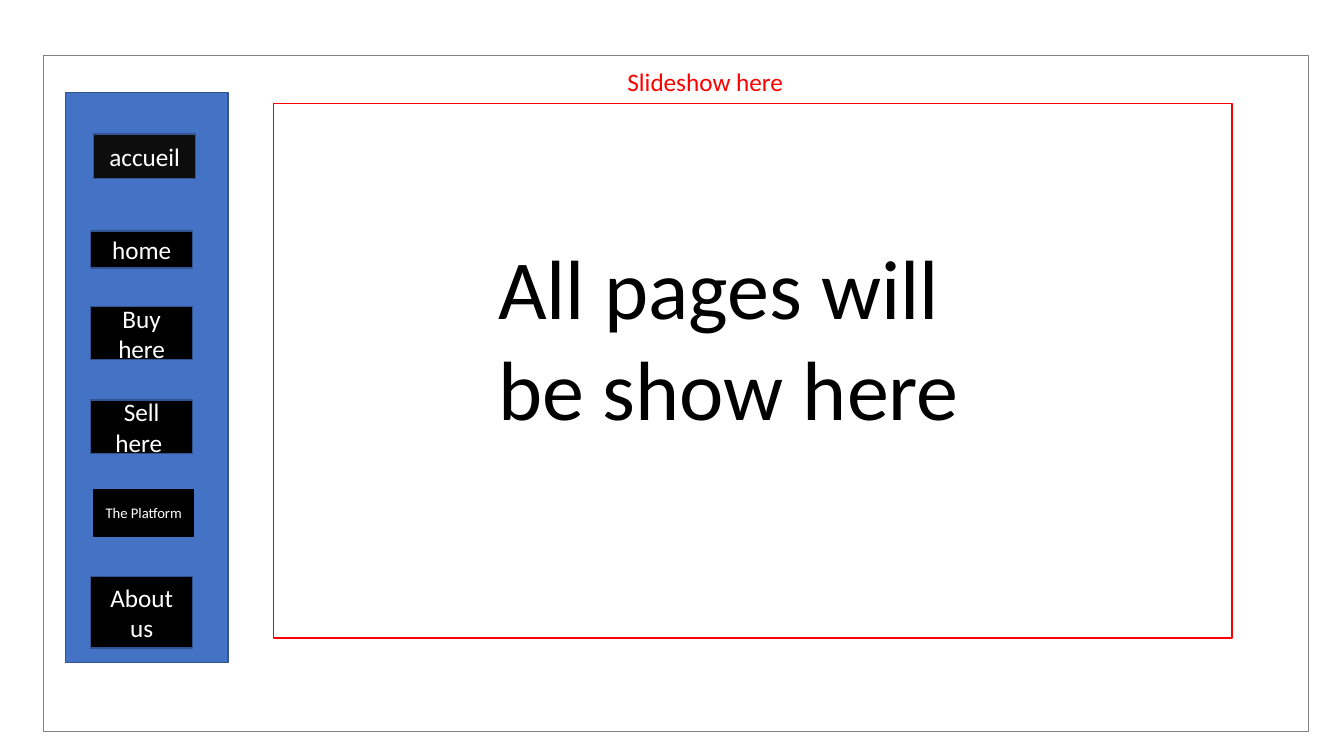
from dataclasses import dataclass

from pptx import Presentation
from pptx.dml.color import RGBColor
from pptx.enum.shapes import MSO_SHAPE
from pptx.enum.text import MSO_ANCHOR, MSO_AUTO_SIZE, PP_ALIGN
from pptx.shapes.autoshape import Shape
from pptx.slide import Slide
from pptx.util import Inches, Pt


@dataclass(frozen=True)
class Theme:
    font: str = "Calibri"
    white: str = "FFFFFF"
    black: str = "000000"
    near_black: str = "0D0D0D"
    red: str = "FF0000"
    gray: str = "808080"
    blue: str = "4472C4"
    dark_blue: str = "325491"
    headline_size: float = 60
    label_size: float = 18
    small_size: float = 10.5
    line_width: float = 1


THEME = Theme()


@dataclass(frozen=True)
class Box:
    left: float
    top: float
    width: float
    height: float
    fill: str
    line: str


@dataclass(frozen=True)
class MenuButton:
    text: str
    top: float
    height: float
    left: float = 0.9
    width: float = 1.01
    fill: str = THEME.black
    line: str = THEME.dark_blue
    size: float = THEME.label_size


PAGE = Box(0.43, 0.55, 12.55, 6.71, THEME.white, THEME.gray)
SIDEBAR = Box(0.65, 0.92, 1.61, 5.65, THEME.blue, THEME.dark_blue)
CONTENT = Box(2.71, 1.03, 9.51, 5.3, THEME.white, THEME.red)

MENU = [
    MenuButton("accueil", 1.33, 0.44, left=0.93, fill=THEME.near_black),
    MenuButton("home", 2.29, 0.37),
    MenuButton("Buy here", 3.04, 0.53),
    MenuButton("Sell here ", 3.97, 0.53),
    MenuButton("The Platform", 4.86, 0.46, left=0.93, width=0.99,
               line=THEME.black, size=THEME.small_size),
    MenuButton("About us", 5.72, 0.71),
]


def place(shape: Shape, left: float, top: float, width: float, height: float) -> None:
    shape.left, shape.top = Inches(left), Inches(top)
    shape.width, shape.height = Inches(width), Inches(height)


def write(shape: Shape, text: str, size: float, color: str,
          alignment: PP_ALIGN, anchor: MSO_ANCHOR) -> None:
    frame = shape.text_frame
    frame.word_wrap = True
    frame.vertical_anchor = anchor
    paragraph = frame.paragraphs[0]
    paragraph.alignment = alignment
    run = paragraph.add_run()
    run.text = text
    run.font.name = THEME.font
    run.font.size = Pt(size)
    run.font.color.rgb = RGBColor.from_string(color)


def add_box(slide: Slide, box: Box | MenuButton) -> Shape:
    shape = slide.shapes.add_shape(
        MSO_SHAPE.RECTANGLE, Inches(box.left), Inches(box.top),
        Inches(box.width), Inches(box.height))
    shape.shadow.inherit = False
    shape.fill.solid()
    shape.fill.fore_color.rgb = RGBColor.from_string(box.fill)
    shape.line.color.rgb = RGBColor.from_string(box.line)
    shape.line.width = Pt(THEME.line_width)
    return shape


def add_button(slide: Slide, button: MenuButton) -> None:
    shape = add_box(slide, button)
    write(shape, button.text, button.size, THEME.white,
          PP_ALIGN.CENTER, MSO_ANCHOR.MIDDLE)


def add_headline(slide: Slide) -> None:
    title = slide.shapes.title
    place(title, 4.84, 2.29, 5.16, 2.12)
    title.text_frame.auto_size = MSO_AUTO_SIZE.SHAPE_TO_FIT_TEXT
    write(title, "All pages will be show here", THEME.headline_size,
          THEME.black, PP_ALIGN.LEFT, MSO_ANCHOR.TOP)
    # Bring the title in front of the content area
    title.element.getparent().append(title.element)


def add_slideshow_label(slide: Slide) -> None:
    label = slide.shapes.add_textbox(
        Inches(4.32), Inches(0.61), Inches(5.35), Inches(0.4))
    label.text_frame.auto_size = MSO_AUTO_SIZE.SHAPE_TO_FIT_TEXT
    write(label, "Slideshow here", THEME.label_size, THEME.red,
          PP_ALIGN.CENTER, MSO_ANCHOR.TOP)


def main() -> None:
    presentation = Presentation()
    presentation.slide_width = Inches(13.33)
    presentation.slide_height = Inches(7.5)
    title_only = presentation.slide_layouts.get_by_name("Title Only")
    slide = presentation.slides.add_slide(title_only)

    # Page frame, sidebar and content area
    for box in (PAGE, SIDEBAR, CONTENT):
        add_box(slide, box)

    # Sidebar menu
    for button in MENU:
        add_button(slide, button)

    # Texts
    add_headline(slide)
    add_slideshow_label(slide)

    presentation.save("out.pptx")


if __name__ == "__main__":
    main()
